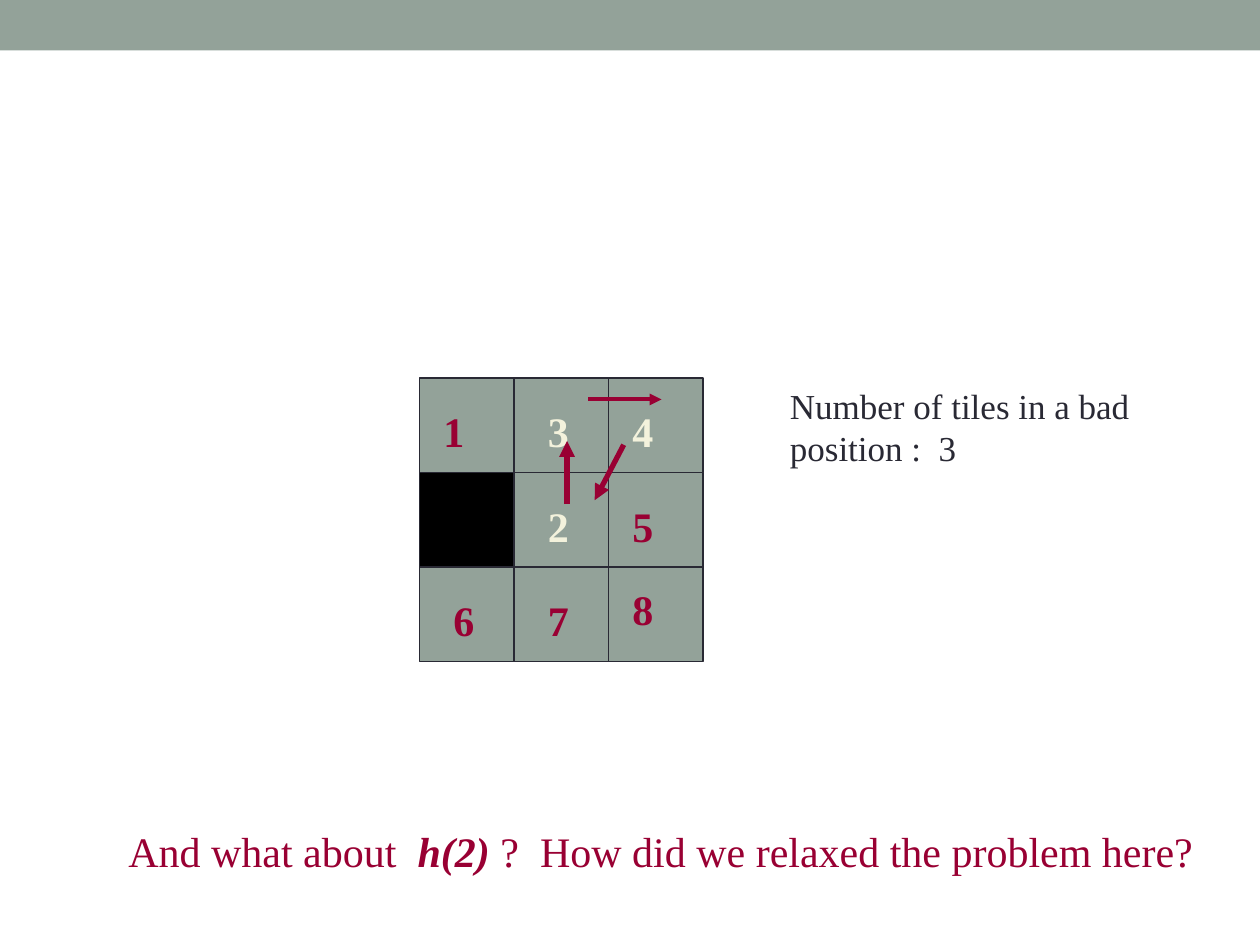
import typing

import pptx
import pptx.dml.color
import pptx.enum.shapes
import pptx.enum.text
import pptx.oxml
import pptx.oxml.ns
import pptx.util

Inches = pptx.util.Inches
FONT = "Times New Roman"
SAGE, DARK, RED, CREAM = "93A299", "292934", "990033", "F3F2DC"
SIDE, LEFT, TOP = 0.75, 3.33, 3.0


class Tile(typing.NamedTuple):
    num: str
    row: int
    col: int
    ink: str = RED
    dx: float = 0.17
    dy: float = 0.17


class Move(typing.NamedTuple):
    x1: float
    y1: float
    x2: float
    y2: float
    width: float


class Part(typing.NamedTuple):
    text: str
    bold: bool = False
    slant: bool = False


TILES = [
    Tile("1", 0, 0, dx=0.09),
    Tile("5", 1, 2, dx=0.09),
    Tile("6", 2, 0),
    Tile("3", 0, 1, CREAM),
    Tile("8", 2, 2, dx=0.09, dy=0.08),
    Tile("2", 1, 1, CREAM),
    Tile("4", 0, 2, CREAM, dx=0.09),
    Tile("7", 2, 1),
]
MOVES = [
    Move(4.67, 3.17, 5.25, 3.17, 2.25),
    Move(4.95, 3.53, 4.72, 3.97, 3),
    Move(4.5, 4, 4.5, 3.5, 3),
]


def tint(code: str) -> pptx.dml.color.RGBColor:
    return pptx.dml.color.RGBColor.from_string(code)


def add_rect(shapes, x: float, y: float, w: float, h: float,
             fill: str, edge: str | None = None) -> None:
    kind = pptx.enum.shapes.MSO_SHAPE.RECTANGLE
    rect = shapes.add_shape(kind, Inches(x), Inches(y), Inches(w), Inches(h))
    rect.shadow.inherit = False
    rect.fill.solid()
    rect.fill.fore_color.rgb = tint(fill)
    if edge:
        rect.line.color.rgb = tint(edge)
        rect.line.width = pptx.util.Pt(0.75)
    else:
        rect.line.fill.background()


def add_text(shapes, x: float, y: float, w: float, h: float,
             parts: list[Part], size: float, ink: str) -> None:
    box = shapes.add_textbox(Inches(x), Inches(y), Inches(w), Inches(h))
    frame = box.text_frame
    frame.word_wrap = True
    frame.auto_size = pptx.enum.text.MSO_AUTO_SIZE.SHAPE_TO_FIT_TEXT
    for part in parts:
        run = frame.paragraphs[0].add_run()
        run.text = part.text
        run.font.name = FONT
        run.font.size = pptx.util.Pt(size)
        run.font.bold = part.bold
        run.font.italic = part.slant
        run.font.color.rgb = tint(ink)


def add_tile(shapes, tile: Tile) -> None:
    x, y = LEFT + tile.col * SIDE, TOP + tile.row * SIDE
    group = shapes.add_group_shape().shapes
    add_rect(group, x, y, SIDE, SIDE, SAGE, DARK)
    add_text(group, x + tile.dx, y + tile.dy, 0.5, 0.5,
             [Part(tile.num, bold=True)], 24, tile.ink)


def add_move(shapes, move: Move) -> None:
    line = shapes.add_connector(
        pptx.enum.shapes.MSO_CONNECTOR.STRAIGHT,
        Inches(move.x1), Inches(move.y1), Inches(move.x2), Inches(move.y2))
    line.line.color.rgb = tint(RED)
    line.line.width = pptx.util.Pt(move.width)
    space = pptx.oxml.ns.nsdecls("a")
    props = line._element.spPr
    props.find(pptx.oxml.ns.qn("a:ln")).append(
        pptx.oxml.parse_xml(f'<a:tailEnd {space} type="triangle"/>'))
    props.append(pptx.oxml.parse_xml(f"<a:effectLst {space}/>"))


def main() -> None:
    deck = pptx.Presentation()
    deck.slide_width, deck.slide_height = Inches(10), Inches(7.5)
    shapes = deck.slides.add_slide(deck.slide_layouts[6]).shapes

    # Top band
    add_rect(shapes, 0, 0, 10, 0.4, SAGE)

    # Puzzle board: the empty square, then the tiles
    add_rect(shapes, LEFT, TOP + SIDE, SIDE, SIDE, "000000", DARK)
    for tile in TILES:
        add_tile(shapes, tile)

    # Score
    add_text(shapes, 6.17, 3, 3.42, 0.77,
             [Part("Number of tiles in a bad position :  3")], 20, DARK)

    # Moves of the misplaced tiles
    for move in MOVES:
        add_move(shapes, move)

    # Question
    add_text(shapes, 0.92, 6.5, 8.67, 0.5, [
        Part("And what about  "),
        Part("h(2) ", bold=True, slant=True),
        Part("?  How did we relaxed the problem here?"),
    ], 24, RED)

    deck.save("out.pptx")


if __name__ == "__main__":
    main()
